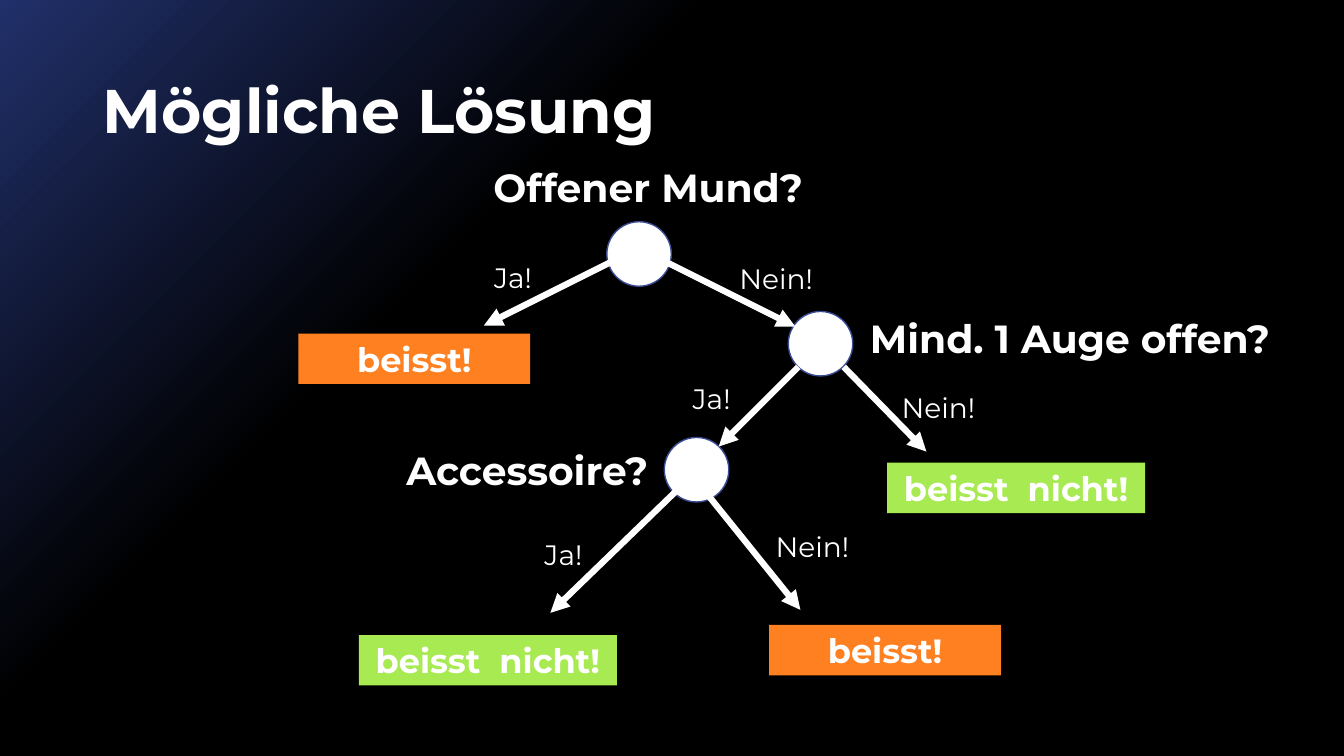
import dataclasses

import lxml.etree
import pptx
import pptx.dml.color
import pptx.enum.dml
import pptx.enum.shapes
import pptx.enum.text
import pptx.oxml.ns
import pptx.util


@dataclasses.dataclass(frozen=True)
class Theme:
    """Colours, type sizes and line widths of the deck."""

    font: str = "Montserrat"
    white: str = "FFFFFF"
    black: str = "000000"
    navy: str = "21306A"
    rim: str = "3A4C94"
    bites: str = "FF8021"
    harmless: str = "A7EA52"
    title: int = 44
    question: int = 28
    verdict: int = 24
    answer: int = 20
    arrow: float = 4.5


def colour(code):
    """Turn a hex code into a colour."""
    return pptx.dml.color.RGBColor.from_string(code)


class TreePage:
    """A slide on a grid of 133.33 columns by 75 rows."""

    columns, rows = 133.33, 75
    node_size = 6.4

    def __init__(self, deck, theme):
        """Add the page and its gradient background."""
        self.deck, self.theme = deck, theme
        self.page = deck.slides.add_slide(deck.slide_layouts.get_by_name("Title Only"))
        fill = self.page.background.fill
        fill.gradient()
        fill.gradient_angle = 315
        for stop, code, position in zip(fill.gradient_stops, (theme.navy, theme.black), (0, 0.34)):
            stop.color.rgb = colour(code)
            stop.position = position

    def place(self, *lengths):
        """Turn alternating columns and rows into slide lengths."""
        units = (self.deck.slide_width / self.columns, self.deck.slide_height / self.rows)
        return [pptx.util.Emu(round(length * units[index % 2])) for index, length in enumerate(lengths)]

    def set_text(self, shape, text, size, bold=True, align=pptx.enum.text.PP_ALIGN.CENTER):
        """Put one formatted line of text in a shape."""
        frame = shape.text_frame
        frame.text = text
        frame.word_wrap = True
        para = frame.paragraphs[0]
        para.alignment = align
        font = para.runs[0].font
        font.name, font.size, font.bold = self.theme.font, pptx.util.Pt(size), bold
        font.color.rgb = colour(self.theme.white)

    def title(self, text, *grid):
        """Fill the title placeholder."""
        shape = self.page.shapes.title
        shape.left, shape.top, shape.width, shape.height = self.place(*grid)
        self.set_text(shape, text, self.theme.title, align=pptx.enum.text.PP_ALIGN.LEFT)
        shape.text_frame.auto_size = pptx.enum.text.MSO_AUTO_SIZE.NONE
        shape.text_frame.vertical_anchor = pptx.enum.text.MSO_ANCHOR.MIDDLE
        shape.text_frame.paragraphs[0].line_spacing = 0.9

    def shape(self, kind, fill, *grid):
        """Add a flat preset shape without outline."""
        shape = self.page.shapes.add_shape(kind, *self.place(*grid))
        shape.shadow.inherit = False
        shape.fill.solid()
        shape.fill.fore_color.rgb = colour(fill)
        shape.line.fill.background()
        return shape

    def node(self, column, row):
        """Add a decision circle."""
        kind = pptx.enum.shapes.MSO_SHAPE.OVAL
        circle = self.shape(kind, self.theme.white, column, row, self.node_size, self.node_size)
        circle.line.color.rgb = colour(self.theme.rim)
        circle.line.width = pptx.util.Pt(1)

    def verdict(self, text, fill, column, row, width):
        """Add a coloured leaf of the tree."""
        leaf = self.shape(pptx.enum.shapes.MSO_SHAPE.RECTANGLE, fill, column, row, width, 5)
        self.set_text(leaf, text, self.theme.verdict)

    def label(self, text, size, bold, *grid):
        """Add a centred text box."""
        box = self.page.shapes.add_textbox(*self.place(*grid))
        self.set_text(box, text, size, bold)
        box.text_frame.auto_size = pptx.enum.text.MSO_AUTO_SIZE.SHAPE_TO_FIT_TEXT

    def question(self, text, column, row, width):
        """Add the question of a node."""
        self.label(text, self.theme.question, True, column, row, width, 5.7)

    def answer(self, text, column, row):
        """Add the answer beside an arrow."""
        self.label(text, self.theme.answer, False, column, row, 16.8, 4.4)

    def arrow(self, *grid):
        """Add an arrow between two grid points."""
        kind = pptx.enum.shapes.MSO_CONNECTOR.STRAIGHT
        arrow = self.page.shapes.add_connector(kind, *self.place(*grid))
        arrow.line.color.rgb = colour(self.theme.white)
        arrow.line.width = pptx.util.Pt(self.theme.arrow)
        properties = arrow._element.spPr
        qualified = pptx.oxml.ns.qn
        outline = properties.find(qualified("a:ln"))
        lxml.etree.SubElement(outline, qualified("a:tailEnd"), type="triangle")
        lxml.etree.SubElement(properties, qualified("a:effectLst"))


def main():
    """Build the decision tree slide."""
    deck = pptx.Presentation()
    deck.slide_width, deck.slide_height = pptx.util.Inches(13.33), pptx.util.Inches(7.5)
    theme = Theme()
    tree = TreePage(deck, theme)
    tree.title("Mögliche Lösung", 9.2, 4, 115, 14.5)

    for spot in ((60.2, 22), (78.2, 30.9), (65.9, 43.4)):
        tree.node(*spot)

    for ends in (
        (64.3, 25.1, 78.9, 32.4),
        (79.2, 36.4, 71.3, 44.3),
        (60.8, 25.9, 48, 32.3),
        (83.7, 36.4, 91.9, 44.8),
        (69.9, 48.7, 79.4, 60.5),
        (67.1, 48.7, 54.6, 60.8),
    ):
        tree.arrow(*ends)

    for text, column, row, width in (
        ("Offener Mund?", 45.1, 15.7, 38.4),
        ("Mind. 1 Auge offen?", 80.1, 30.7, 52.1),
        ("Accessoire?", 36, 43.8, 32.6),
    ):
        tree.question(text, column, row, width)

    for spot in ((29.6, 33.1), (76.3, 62)):
        tree.verdict("beisst!", theme.bites, *spot, 23)
    for spot in ((35.6, 63), (88, 45.9)):
        tree.verdict("beisst  nicht!", theme.harmless, *spot, 25.6)

    for spot in ((68.6, 25.5), (84.7, 38.2), (72.2, 52)):
        tree.answer("Nein!", *spot)
    for spot in ((42.5, 25.4), (62.2, 37.4), (47.5, 52.8)):
        tree.answer("Ja!", *spot)

    deck.save("out.pptx")


if __name__ == "__main__":
    main()
